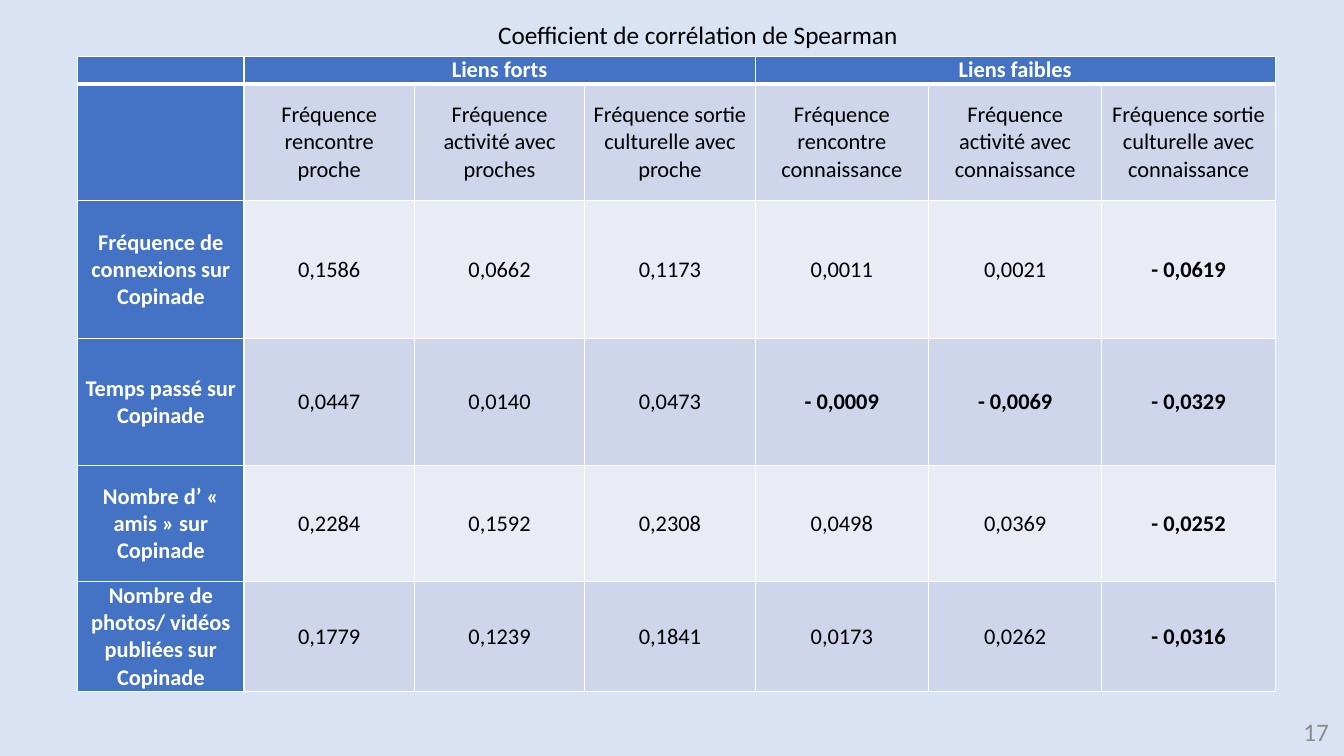
from lxml import etree
from pptx import Presentation
from pptx.dml.color import RGBColor
from pptx.enum.text import MSO_ANCHOR, MSO_AUTO_SIZE, PP_ALIGN
from pptx.oxml.ns import qn
from pptx.util import Inches, Pt

HEADER_BLUE, BAND_DARK, BAND_LIGHT = "4472C4", "CFD5EA", "E9EBF5"
WHITE, BLACK = "FFFFFF", "000000"


def style_text(paragraph, size, color, align, bold=False):
    paragraph.alignment = align
    font = paragraph.font
    font.name, font.size, font.bold = "Calibri", Pt(size), bold
    font.color.rgb = RGBColor.from_string(color)


def set_borders(cell, top, bottom):
    """Draw white cell borders, with top and bottom widths in points."""
    properties = cell._tc.get_or_add_tcPr()
    widths = {"a:lnL": 1, "a:lnR": 1, "a:lnT": top, "a:lnB": bottom}
    for index, (tag, width) in enumerate(widths.items()):
        line = etree.Element(qn(tag), w=str(Pt(width)))
        fill = etree.SubElement(line, qn("a:solidFill"))
        etree.SubElement(fill, qn("a:srgbClr"), val=WHITE)
        properties.insert(index, line)


presentation = Presentation()
presentation.slide_width, presentation.slide_height = Inches(13.33), Inches(7.5)
slide = presentation.slides.add_slide(presentation.slide_layouts[5])
slide.background.fill.solid()
slide.background.fill.fore_color.rgb = RGBColor.from_string("DAE3F3")

# Title
title = slide.shapes.title
title.left, title.top = Inches(4.84), Inches(0.14)
title.width, title.height = Inches(4.74), Inches(0.4)
title.text_frame.text = "Coefficient de corrélation de Spearman"
title.text_frame.vertical_anchor = MSO_ANCHOR.TOP
title.text_frame.auto_size = MSO_AUTO_SIZE.NONE
style_text(title.text_frame.paragraphs[0], 18, BLACK, PP_ALIGN.LEFT)

# Correlation table
rows = [
    ["", "Liens forts", "", "", "Liens faibles", "", ""],
    ["", "Fréquence rencontre proche", "Fréquence activité avec proches",
     "Fréquence sortie culturelle avec proche", "Fréquence rencontre connaissance",
     "Fréquence activité avec connaissance",
     "Fréquence sortie culturelle avec connaissance"],
    ["Fréquence de connexions sur Copinade",
     "0,1586", "0,0662", "0,1173", "0,0011", "0,0021", "- 0,0619"],
    ["Temps passé sur Copinade",
     "0,0447", "0,0140", "0,0473", "- 0,0009", "- 0,0069", "- 0,0329"],
    ["Nombre d’ « amis » sur Copinade",
     "0,2284", "0,1592", "0,2308", "0,0498", "0,0369", "- 0,0252"],
    ["Nombre de photos/ vidéos publiées sur Copinade",
     "0,1779", "0,1239", "0,1841", "0,0173", "0,0262", "- 0,0316"],
]
column_widths = [1.65] + [1.69] * 3 + [1.72] * 3
row_heights = [0.27, 1.16, 1.37, 1.26, 1.15, 1.08]
table = slide.shapes.add_table(
    len(rows), len(column_widths), Inches(0.77), Inches(0.56),
    Inches(sum(column_widths)), Inches(sum(row_heights))).table
table.horz_banding = False
for column, width in zip(table.columns, column_widths):
    column.width = Inches(width)
for row, height in zip(table.rows, row_heights):
    row.height = Inches(height)

for row_index, texts in enumerate(rows):
    band = BAND_DARK if row_index % 2 else BAND_LIGHT
    for column_index, text in enumerate(texts):
        cell = table.cell(row_index, column_index)
        is_header = row_index == 0 or column_index == 0
        cell.text = text
        cell.vertical_anchor = MSO_ANCHOR.MIDDLE
        cell.margin_left = cell.margin_right = Inches(0.07)
        cell.margin_top = cell.margin_bottom = 0
        cell.fill.solid()
        cell.fill.fore_color.rgb = RGBColor.from_string(HEADER_BLUE if is_header else band)
        set_borders(cell, 3 if row_index == 1 else 1, 3 if row_index == 0 else 1)
        # Headers and negative coefficients are bold
        style_text(cell.text_frame.paragraphs[0], 16, WHITE if is_header else BLACK,
                   PP_ALIGN.CENTER, is_header or text.startswith("-"))

for first_column in (1, 4):
    table.cell(0, first_column).merge(table.cell(0, first_column + 2))

# Slide number
number_box = slide.shapes.add_textbox(Inches(10.28), Inches(7.06), Inches(3), Inches(0.4))
number_box.text_frame.word_wrap = True
number_box.text_frame.vertical_anchor = MSO_ANCHOR.MIDDLE
number_box.text_frame.text = "17"
style_text(number_box.text_frame.paragraphs[0], 18, "8C8C8C", PP_ALIGN.RIGHT)

presentation.save("out.pptx")
